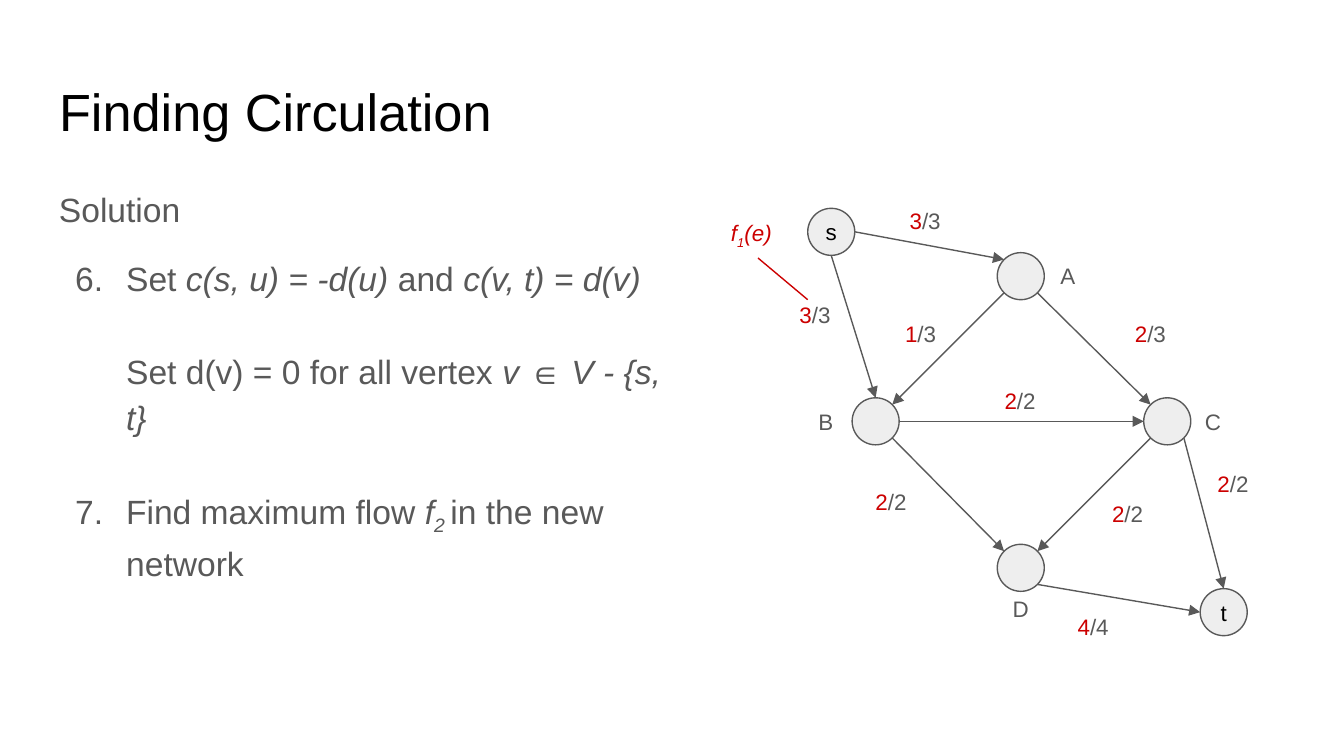
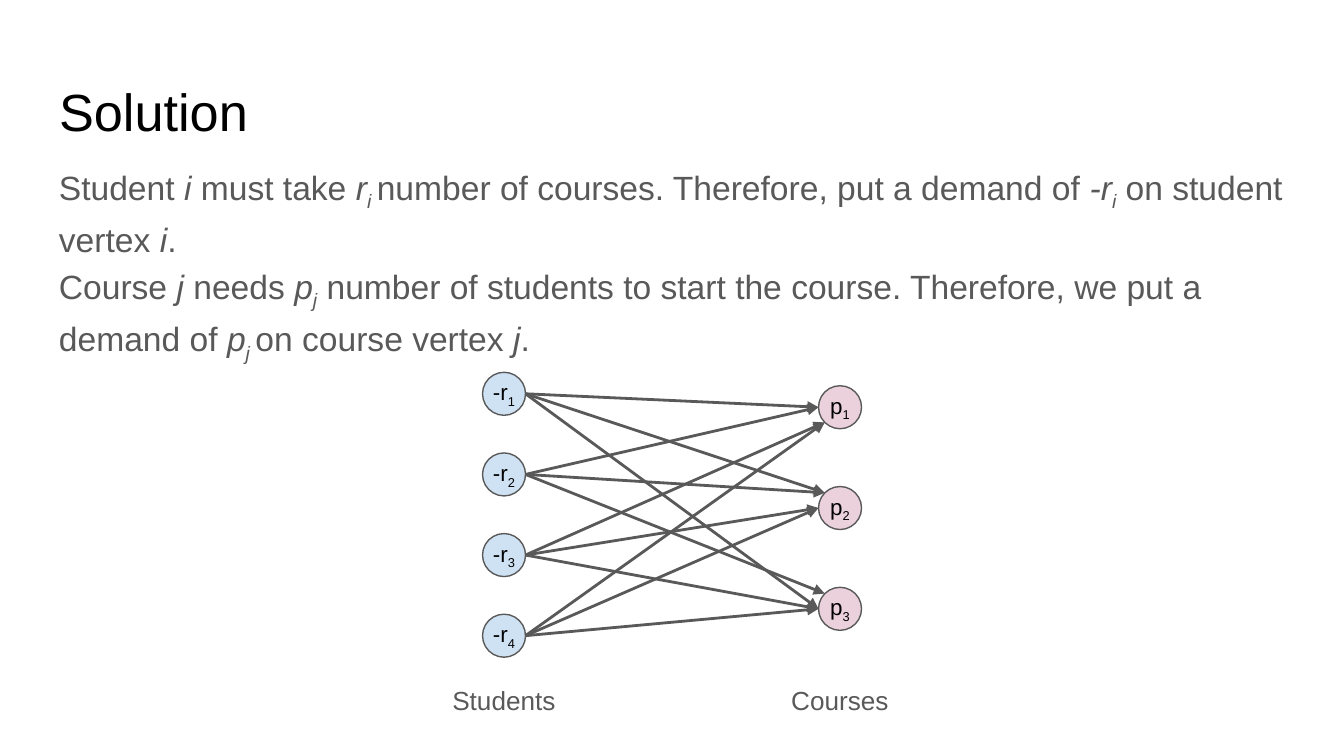
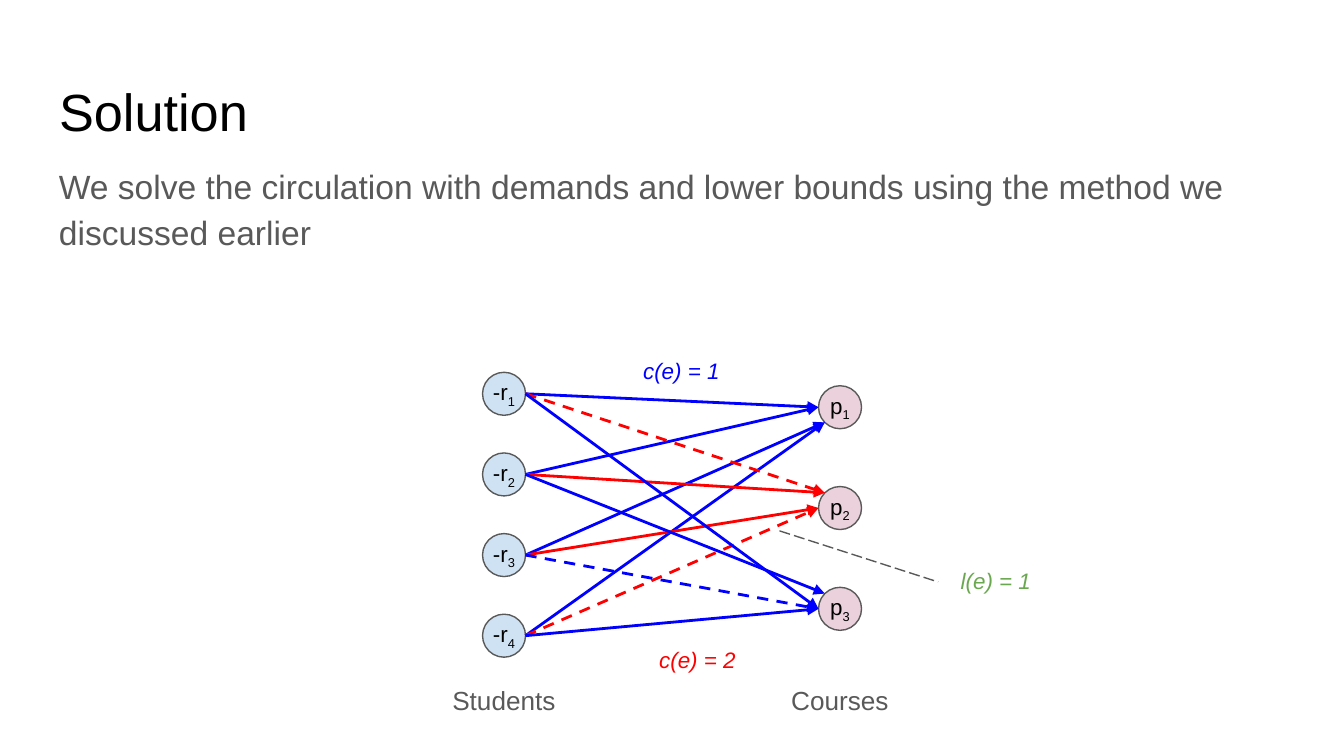
from itertools import product
from math import sqrt

from lxml import etree
from pptx import Presentation
from pptx.dml.color import RGBColor
from pptx.enum.dml import MSO_LINE
from pptx.enum.shapes import MSO_CONNECTOR, MSO_SHAPE
from pptx.enum.text import MSO_ANCHOR, MSO_AUTO_SIZE, PP_ALIGN
from pptx.oxml.ns import qn
from pptx.util import Emu, Pt

LEFT, CENTER = PP_ALIGN.LEFT, PP_ALIGN.CENTER
TOP, MIDDLE = MSO_ANCHOR.TOP, MSO_ANCHOR.MIDDLE
DASH, LONG_DASH = MSO_LINE.DASH, MSO_LINE.LONG_DASH
STRAIGHT, ELLIPSE = MSO_CONNECTOR.STRAIGHT, MSO_SHAPE.OVAL

COLORS = {
    "title": "000000", "text": "595959", "flow": "CC0000", "vertex": "EEEEEE",
    "student": "CFE2F3", "course": "EAD1DC",
    "blue": "0000FF", "red": "FF0000", "green": "6AA84F",
}
FONT = "Arial"
PX = 9144  # 100 px to the inch
INSET = 10
TITLE_ONLY = 5
TITLE_BOX = (34, 49, 932, 63)
WIDE_BODY_BOX = (34, 109, 932, 153)

# Unit directions from the centre of a circle to its rim
D = 1 / sqrt(2)
COMPASS = {"N": (0, -1), "S": (0, 1), "E": (1, 0), "W": (-1, 0),
           "NE": (D, -D), "NW": (-D, -D), "SE": (D, D), "SW": (-D, D)}


def px(value):
    return Emu(round(value * PX))


def rgb(name):
    return RGBColor.from_string(COLORS[name])


# ---- Text -------------------------------------------------------------

def set_frame(shape, anchor=TOP, inset=INSET):
    frame = shape.text_frame
    frame.word_wrap = True
    frame.auto_size = MSO_AUTO_SIZE.NONE
    frame.vertical_anchor = anchor
    frame.margin_left = frame.margin_right = px(inset)
    frame.margin_top = frame.margin_bottom = px(inset)
    return frame


def write(paragraph, pieces, size, color="text", align=LEFT):
    """Pieces are (text, flags): i italic, s subscript, f flow colour."""
    paragraph.alignment = align
    for text, flags in pieces:
        run = paragraph.add_run()
        run.text = text
        run.font.name = FONT
        run.font.size = Pt(size)
        run.font.italic = "i" in flags
        run.font.color.rgb = rgb("flow" if "f" in flags else color)
        if "s" in flags:
            run._r.get_or_add_rPr().set("baseline", "-25000")


def add_label(slide, box, pieces, size=12, color="text", align=CENTER, anchor=MIDDLE):
    shape = slide.shapes.add_textbox(*map(px, box))
    write(set_frame(shape, anchor).paragraphs[0], pieces, size, color, align)


def indent(paragraph, number=None):
    properties = paragraph._p.get_or_add_pPr()
    properties.set("marL", str(px(50)))
    properties.set("indent", str(px(-38 if number else 0)))
    if number:
        bullet_color = etree.SubElement(properties, qn("a:buClr"))
        etree.SubElement(bullet_color, qn("a:srgbClr"), val=COLORS["text"])
        etree.SubElement(properties, qn("a:buAutoNum"),
                         type="arabicPeriod", startAt=str(number))


def add_body(slide, box, paragraphs):
    """Each paragraph is (pieces, space before, number or None, indented)."""
    frame = set_frame(slide.shapes.add_textbox(*map(px, box)))
    for index, (pieces, space, number, indented) in enumerate(paragraphs):
        paragraph = frame.add_paragraph() if index else frame.paragraphs[0]
        paragraph.line_spacing = 1.15
        paragraph.space_before = Pt(space)
        if indented:
            indent(paragraph, number)
        write(paragraph, pieces, 18)


def add_titled_slide(presentation, text):
    slide = presentation.slides.add_slide(presentation.slide_layouts[TITLE_ONLY])
    title = slide.shapes.title
    title.left, title.top, title.width, title.height = map(px, TITLE_BOX)
    write(set_frame(title).paragraphs[0], [(text, "")], 28, "title")
    return slide


# ---- Graph parts ------------------------------------------------------

def add_vertex(slide, left, top, size, fill, pieces=()):
    shape = slide.shapes.add_shape(ELLIPSE, px(left), px(top), px(size), px(size))
    shape.shadow.inherit = False
    shape.fill.solid()
    shape.fill.fore_color.rgb = rgb(fill)
    shape.line.color.rgb = rgb("text")
    shape.line.width = Pt(0.75)
    if pieces:
        frame = set_frame(shape, MIDDLE, 0)
        write(frame.paragraphs[0], pieces, 12, "title", CENTER)


def rim(left, top, size, side):
    radius = size / 2
    dx, dy = COMPASS[side]
    return left + radius * (1 + dx), top + radius * (1 + dy)


def add_line(slide, start, end, color="text", width=0.75, dash=None, arrow=True):
    connector = slide.shapes.add_connector(STRAIGHT, *map(px, start + end))
    connector.line.color.rgb = rgb(color)
    connector.line.width = Pt(width)
    if dash:
        connector.line.dash_style = dash
    properties = connector.element.spPr
    if arrow:
        etree.SubElement(properties.find(qn("a:ln")), qn("a:tailEnd"), type="triangle")
    etree.SubElement(properties, qn("a:effectLst"))


# ---- Flow network -----------------------------------------------------

VERTEX = 35
VERTICES = {"s": (67, 10), "A": (208, 43), "B": (100, 151),
            "C": (317, 151), "D": (208, 260), "t": (359, 293)}
VERTEX_NAMES = {"A": (244, 47), "B": (64, 156), "C": (352, 156), "D": (209, 295)}
# from, side, to, side, flow, capacity, label left, top, width, alignment
EDGES = [
    ("A", "SW", "B", "NE", 1, 3, 106, 84, 90, CENTER),
    ("A", "SE", "C", "NW", 2, 3, 277, 84, 90, CENTER),
    ("B", "SE", "D", "NW", 2, 2, 79, 209, 100, CENTER),
    ("C", "SW", "D", "NE", 2, 2, 260, 218, 90, CENTER),
    ("B", "E", "C", "W", 2, 2, 191, 134, 68, CENTER),
    ("s", "S", "B", "N", 3, 3, 51, 70, 47, LEFT),
    ("s", "E", "A", "NW", 3, 3, 133, 0, 47, LEFT),
    ("C", "SE", "t", "N", 2, 2, 362, 196, 52, LEFT),
    ("D", "SE", "t", "W", 4, 4, 258, 302, 47, LEFT),
]


def add_flow_network(slide, left, top):
    places = {name: (left + x, top + y) for name, (x, y) in VERTICES.items()}
    for name, place in places.items():
        add_vertex(slide, *place, VERTEX, "vertex", [(name, "")] if name in "st" else ())
    for tail, tail_side, head, head_side, flow, capacity, x, y, width, align in EDGES:
        add_line(slide, rim(*places[tail], VERTEX, tail_side),
                 rim(*places[head], VERTEX, head_side))
        add_label(slide, (left + x, top + y, width, 38),
                  [(f"{flow}", "f"), (f"/{capacity}", "")], align=align)
    for name, (x, y) in VERTEX_NAMES.items():
        add_label(slide, (left + x, top + y, 33, 26), [(name, "")])
    # Callout that explains the red numbers
    add_line(slide, (left + 67, top + 78), (left + 30, top + 47), "flow", arrow=False)
    add_label(slide, (left, top + 8, 52, 38),
              [("f", "if"), ("1", "isf"), ("(e)", "if")], align=LEFT, anchor=TOP)


# ---- Students and courses ---------------------------------------------

CIRCLE = 32
MATCHING_AT = (320, 262)
# Side of each course (column) that the edge of each student (row) reaches
ARRIVALS = [("W", "NW", "W"), ("W", "NW", "NW"), ("SW", "W", "W"), ("SW", "W", "W")]
LOWER_BOUND_EDGES = {(0, 1), (3, 1), (2, 2)}


def add_matching(slide, left, top, show_bounds=False):
    students = [(left + 39, top + 15 + 60 * row) for row in range(4)]
    courses = [(left + 289, top + 25 + 75 * row) for row in range(3)]
    for places, fill, letter in ((students, "student", "-r"), (courses, "course", "p")):
        for number, place in enumerate(places, 1):
            add_vertex(slide, *place, CIRCLE, fill, [(letter, ""), (str(number), "s")])
    for x, caption in ((0, "Students"), (250, "Courses")):
        add_label(slide, (left + x, top + 237, 110, 38), [(caption, "")], 14, anchor=TOP)
    for course, student in product(range(3), range(4)):
        color, dash = "text", None
        if show_bounds:
            color = "red" if course == 1 else "blue"
            dash = DASH if (student, course) in LOWER_BOUND_EDGES else None
        add_line(slide, rim(*students[student], CIRCLE, "E"),
                 rim(*courses[course], CIRCLE, ARRIVALS[student][course]),
                 color, 1.5, dash)


def add_bound_labels(slide, left, top):
    add_line(slide, (left + 260, top + 133), (left + 378, top + 171),
             dash=LONG_DASH, arrow=False)
    for x, y, text, color in ((378, 156, "l(e) = 1", "green"),
                              (144, 0, "c(e) = 1", "blue"),
                              (156, 215, "c(e) = 2", "red")):
        add_label(slide, (left + x, top + y, 86, 28), [(text, "i")], color=color)


# ---- Slides -----------------------------------------------------------

def build_circulation_slide(presentation):
    slide = add_titled_slide(presentation, "Finding Circulation")
    add_body(slide, (34, 126, 485, 374), [
        ([("Solution", "")], 0, None, False),
        ([("Set ", ""), ("c(s, u) = -d(u) ", "i"), ("and ", ""),
          ("c(v, t) = d(v)", "i")], 12, 6, True),
        ([("Set d(v) = 0 for all vertex ", ""), ("v ", "i"), ("∈ ", ""),
          ("V - {s, t}", "i")], 25, None, True),
        ([("Find maximum flow ", ""), ("f", "i"), ("2 ", "is"),
          ("in the new network", "")], 25, 7, True),
    ])
    add_flow_network(slide, 534, 145)


def build_demand_slide(presentation):
    slide = add_titled_slide(presentation, "Solution")
    add_body(slide, WIDE_BODY_BOX, [
        ([("Student ", ""), ("i", "i"), (" must take ", ""), ("r", "i"), ("i ", "is"),
          ("number of courses. Therefore, put a demand of ", ""), ("-r", "i"),
          ("i", "is"), (" on student vertex ", ""), ("i", "i"), (".", "")],
         0, None, False),
        ([("Course ", ""), ("j", "i"), (" needs ", ""), ("p", "i"), ("j", "is"),
          (" number of students to start the course. Therefore, we put a demand of ", ""),
          ("p", "i"), ("j ", "is"), ("on course vertex ", ""), ("j", "i"), (".", "")],
         0, None, False),
    ])
    add_matching(slide, *MATCHING_AT)


def build_bounds_slide(presentation):
    slide = add_titled_slide(presentation, "Solution")
    add_body(slide, WIDE_BODY_BOX, [
        ([("We solve the circulation with demands and lower bounds using "
           "the method we discussed earlier", "")], 0, None, False),
    ])
    add_matching(slide, *MATCHING_AT, show_bounds=True)
    add_bound_labels(slide, *MATCHING_AT)


def main():
    presentation = Presentation()
    presentation.slide_width = px(1000)
    presentation.slide_height = Emu(presentation.slide_width * 9 // 16)
    build_circulation_slide(presentation)
    build_demand_slide(presentation)
    build_bounds_slide(presentation)
    presentation.save("out.pptx")


if __name__ == "__main__":
    main()
